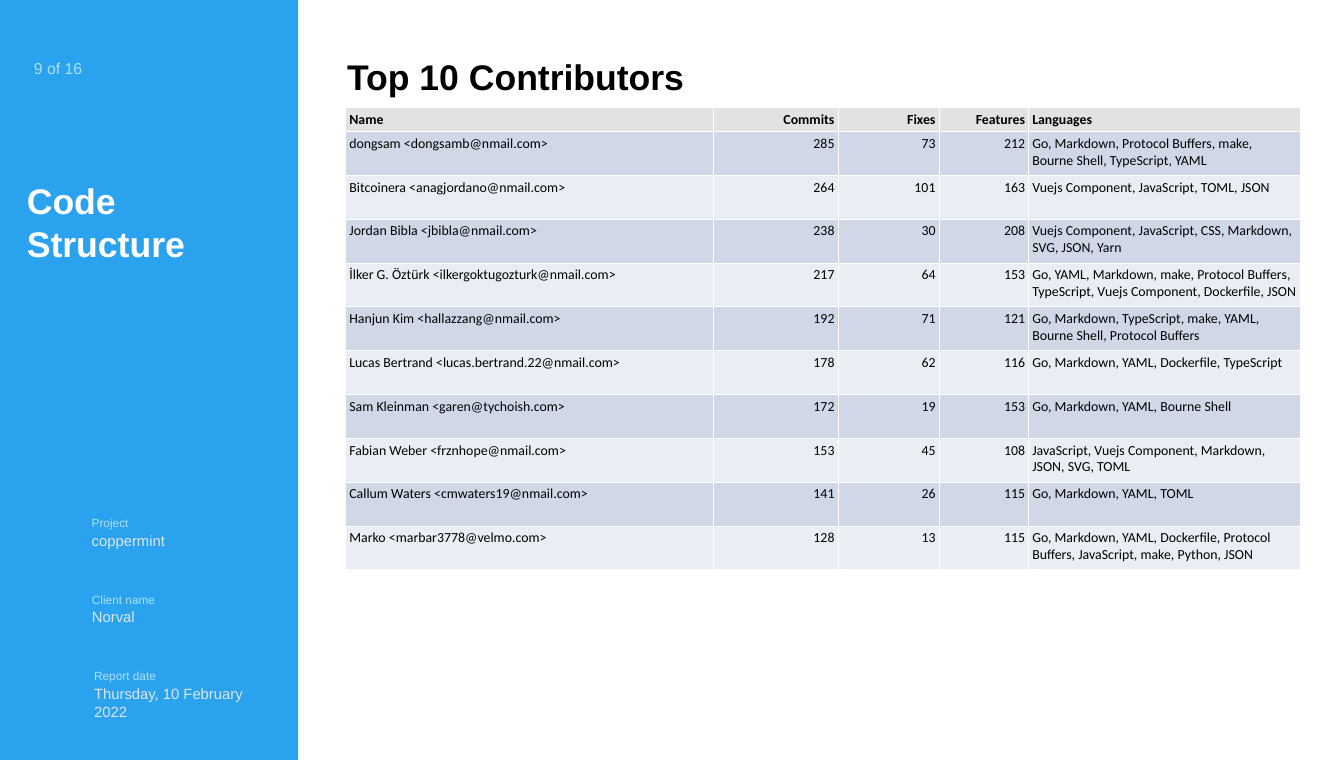
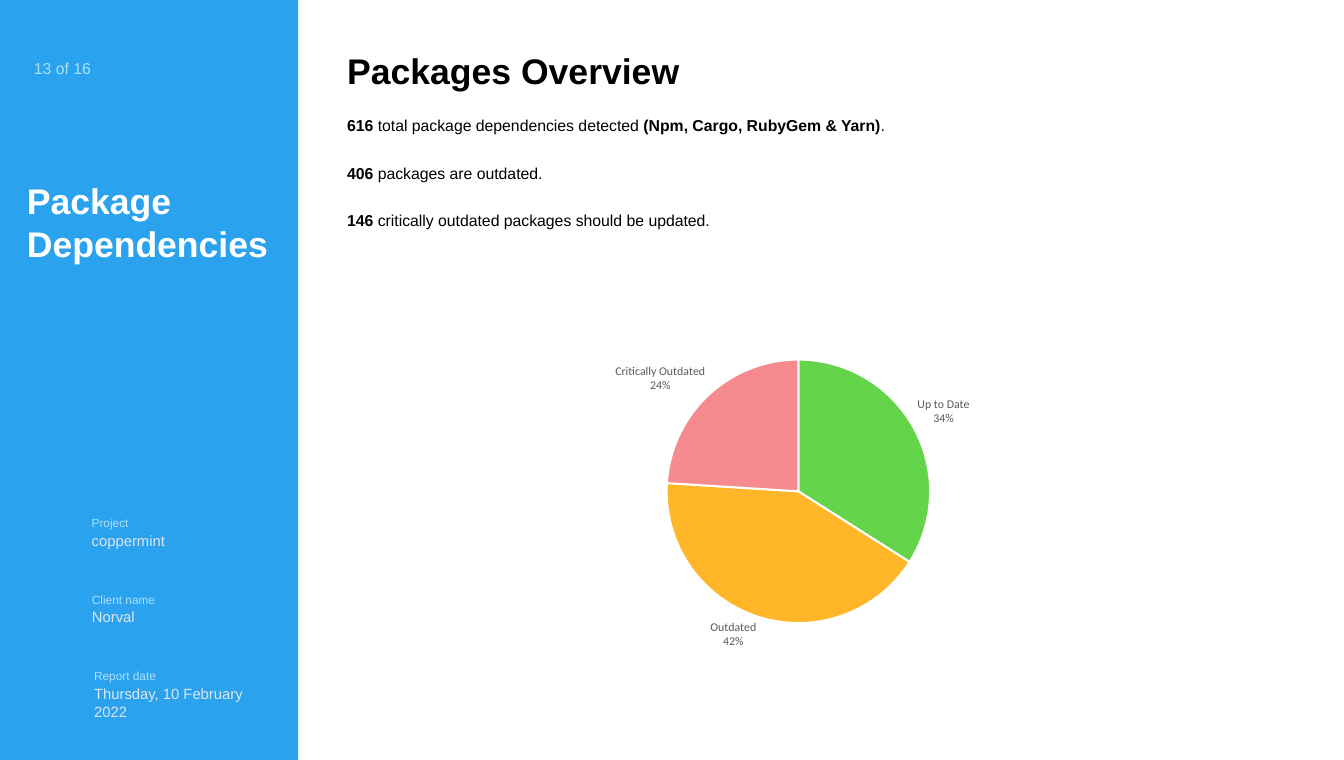
from collections.abc import Iterable
from dataclasses import dataclass, replace
from typing import Any, NamedTuple

from pptx import Presentation
from pptx.chart.data import CategoryChartData as ChartData
from pptx.dml.color import RGBColor as RGB
from pptx.enum.chart import XL_CHART_TYPE as ChartType, XL_LABEL_POSITION as LabelPos
from pptx.enum.shapes import MSO_SHAPE as Shape
from pptx.enum.text import MSO_ANCHOR as Anchor, MSO_AUTO_SIZE as AutoSize, PP_ALIGN as Align
from pptx.oxml import parse_xml
from pptx.oxml.ns import nsdecls
from pptx.slide import Slide
from pptx.text.text import TextFrame
from pptx.util import Inches, Pt

WIDTH, HEIGHT = Inches(18.89), Inches(10.68)


# Theme
@dataclass(frozen=True)
class Style:
    size: int
    color: str
    bold: bool = False
    font: str = "Arial"


@dataclass(frozen=True)
class Theme:
    band: str = "2AA2EE"
    white: str = "FFFFFF"
    header_fill: str = "E2E2E2"
    row_fills: tuple[str, str] = ("D0D8E8", "E9EDF4")
    page: Style = Style(16, "ADE1FF")
    section: Style = Style(36, "FFFFFF", True)
    title: Style = Style(36, "000000", True)
    body: Style = Style(16, "000000")
    label: Style = Style(12, "ADE1FF")
    value: Style = Style(15, "DCE6F2")
    cell: Style = Style(14, "000000", font="Calibri")
    chart: Style = Style(12, "595959", font="Calibri")


THEME = Theme()


# Geometry, in percent of the slide's width and height
def across(share: float) -> int:
    return round(WIDTH * share / 100)


def down(share: float) -> int:
    return round(HEIGHT * share / 100)


class Area(NamedTuple):
    left: float
    top: float
    width: float
    height: float

    def emu(self) -> tuple[int, int, int, int]:
        return across(self.left), down(self.top), across(self.width), down(self.height)


BAND = Area(-0.32, 0, 22.5, 100)
PAGE = Area(2.01, 7.21, 10.43, 3.46)
SECTION = Area(1.48, 23.13, 20.28, 12.27)
TITLE = Area(25.3, 3.93, 57.33, 8.43)
FINDINGS = Area(25.3, 14.14, 60.46, 16.39)
TABLE = Area(25.73, 14.14, 71.04, 60.86)
HEADER_HEIGHT = 3.18
PIE = Area(42.03, 39.89, 34.41, 49.53)
FIELD_TOP, FIELD_PITCH, VALUE_DROP = 67.42, 10.06, 2.06


# Content types
class Span(NamedTuple):
    text: str
    bold: bool = False


class Field(NamedTuple):
    label: str
    value: str
    left: float


class Column(NamedTuple):
    name: str
    width: float
    align: Align = Align.LEFT


class Contributor(NamedTuple):
    name: str
    commits: int
    fixes: int
    features: int
    languages: str


class Slice(NamedTuple):
    name: str
    percent: int
    color: str
    opacity: int = 100


class Page(NamedTuple):
    number: int
    section: tuple[str, ...]
    title: str
    title_top: float


# Content
PAGES = 16
FIELDS = (
    Field("Project", "coppermint", 6.3),
    Field("Client name", "Norval", 6.32),
    Field("Report date", "Thursday, 10 February 2022", 6.48),
)
CONTRIBUTORS_PAGE = Page(9, ("Code", "Structure"), "Top 10 Contributors", 3.93)
PACKAGES_PAGE = Page(13, ("Package", "Dependencies"), "Packages Overview", 3.18)
COLUMNS = (
    Column("Name", 5.17),
    Column("Commits", 1.75, Align.RIGHT),
    Column("Fixes", 1.42, Align.RIGHT),
    Column("Features", 1.26, Align.RIGHT),
    Column("Languages", 3.82),
)
CONTRIBUTORS = (
    Contributor("dongsam <dongsamb@nmail.com>", 285, 73, 212,
                "Go, Markdown, Protocol Buffers, make, Bourne Shell, TypeScript, YAML"),
    Contributor("Bitcoinera <anagjordano@nmail.com>", 264, 101, 163,
                "Vuejs Component, JavaScript, TOML, JSON"),
    Contributor("Jordan Bibla <jbibla@nmail.com>", 238, 30, 208,
                "Vuejs Component, JavaScript, CSS, Markdown, SVG, JSON, Yarn"),
    Contributor("İlker G. Öztürk <ilkergoktugozturk@nmail.com>", 217, 64, 153,
                "Go, YAML, Markdown, make, Protocol Buffers, TypeScript, "
                "Vuejs Component, Dockerfile, JSON"),
    Contributor("Hanjun Kim <hallazzang@nmail.com>", 192, 71, 121,
                "Go, Markdown, TypeScript, make, YAML, Bourne Shell, Protocol Buffers"),
    Contributor("Lucas Bertrand <lucas.bertrand.22@nmail.com>", 178, 62, 116,
                "Go, Markdown, YAML, Dockerfile, TypeScript"),
    Contributor("Sam Kleinman <garen@tychoish.com>", 172, 19, 153,
                "Go, Markdown, YAML, Bourne Shell"),
    Contributor("Fabian Weber <frznhope@nmail.com>", 153, 45, 108,
                "JavaScript, Vuejs Component, Markdown, JSON, SVG, TOML"),
    Contributor("Callum Waters <cmwaters19@nmail.com>", 141, 26, 115,
                "Go, Markdown, YAML, TOML"),
    Contributor("Marko <marbar3778@velmo.com>", 128, 13, 115,
                "Go, Markdown, YAML, Dockerfile, Protocol Buffers, JavaScript, "
                "make, Python, JSON"),
)
PACKAGE_FINDINGS = (
    (Span("616", True), Span(" total package dependencies detected"),
     Span(" (Npm, Cargo, RubyGem & Yarn)", True), Span(".")),
    (Span("406", True), Span(" packages are outdated.")),
    (Span("146", True), Span(" critically outdated packages should be updated.")),
)
SLICES = (
    Slice("Up to Date", 34, "64D44A"),
    Slice("Outdated", 42, "FFAA00", 84),
    Slice("Critically Outdated", 24, "F46368", 74),
)
PLOT_LAYOUT = {"x": 0.22, "y": 0.15, "w": 0.57, "h": 0.7}


# Drawing helpers
def assign(target: Any, values: dict[str, Any]) -> None:
    for name, value in values.items():
        setattr(target, name, value)


def set_font(font: Any, style: Style) -> None:
    assign(font, {"size": Pt(style.size), "name": style.font, "bold": style.bold})
    font.color.rgb = RGB.from_string(style.color)


def write(tf: TextFrame, lines: Iterable[Iterable[Span]], style: Style, **para: Any) -> None:
    for i, spans in enumerate(lines):
        p = tf.add_paragraph() if i else tf.paragraphs[0]
        assign(p, {"alignment": Align.LEFT, "space_before": Pt(0), **para})
        for span in spans:
            r = p.add_run()
            r.text = span.text
            set_font(r.font, replace(style, bold=style.bold or span.bold))


def prepare(tf: TextFrame) -> None:
    assign(tf, {"word_wrap": True, "auto_size": AutoSize.NONE, "vertical_anchor": Anchor.TOP})


def place(sp: Any, area: Area) -> None:
    assign(sp, dict(zip(("left", "top", "width", "height"), area.emu())))
    prepare(sp.text_frame)


def add_text(s: Slide, area: Area, lines: Iterable[str], style: Style) -> None:
    tf = s.shapes.add_textbox(*area.emu()).text_frame
    prepare(tf)
    write(tf, ([Span(line)] for line in lines), style)


# Shared frame: band, page number, section, project fields, title
def add_page(prs: Any, layout: int, page: Page) -> Slide:
    s = prs.slides.add_slide(prs.slide_layouts[layout])
    band = s.shapes.add_shape(Shape.RECTANGLE, *BAND.emu())
    band.shadow.inherit = False
    band.fill.solid()
    band.fill.fore_color.rgb = RGB.from_string(THEME.band)
    band.line.fill.background()
    for i, field in enumerate(FIELDS):
        top = FIELD_TOP + i * FIELD_PITCH
        add_text(s, Area(field.left, top, 10.43, 2.81), [field.label], THEME.label)
        add_text(s, Area(field.left, top + VALUE_DROP, 13.23, 3.28), [field.value], THEME.value)
    add_text(s, PAGE, [f"{page.number} of {PAGES}"], THEME.page)
    add_text(s, SECTION, page.section, THEME.section)
    title = s.shapes.title
    place(title, TITLE._replace(top=page.title_top))
    write(title.text_frame, [[Span(page.title)]], THEME.title, line_spacing=1.5)
    return s


# Table
def fill_cell(cell: Any, text: str, align: Align, fill: str, style: Style) -> None:
    sides = ("left", "right", "top", "bottom")
    assign(cell, {f"margin_{side}": Inches(0.05) for side in sides})
    write(cell.text_frame, [[Span(text)]], style, alignment=align)
    cell.fill.solid()
    cell.fill.fore_color.rgb = RGB.from_string(fill)
    tc_pr = cell._tc.get_or_add_tcPr()
    for i, side in enumerate("LRTB"):
        tc_pr.insert(i, parse_xml(
            f'<a:ln{side} {nsdecls("a")} w="{Pt(1)}"><a:solidFill>'
            f'<a:srgbClr val="{THEME.white}"/></a:solidFill></a:ln{side}>'))


def add_contributors(s: Slide) -> None:
    table = s.shapes.add_table(len(CONTRIBUTORS) + 1, len(COLUMNS), *TABLE.emu()).table
    total = sum(column.width for column in COLUMNS)
    for col, column in zip(table.columns, COLUMNS):
        col.width = across(TABLE.width * column.width / total)
    row_height = (TABLE.height - HEADER_HEIGHT) / len(CONTRIBUTORS)
    header = tuple(column.name for column in COLUMNS)
    for i, values in enumerate((header, *CONTRIBUTORS)):
        table.rows[i].height = down(row_height if i else HEADER_HEIGHT)
        fill = THEME.row_fills[(i - 1) % 2] if i else THEME.header_fill
        style = replace(THEME.cell, bold=i == 0)
        for j, (value, column) in enumerate(zip(values, COLUMNS)):
            fill_cell(table.cell(i, j), str(value), column.align, fill, style)


# Findings list
def add_findings(s: Slide) -> None:
    body = s.placeholders[1]
    place(body, FINDINGS)
    write(body.text_frame, PACKAGE_FINDINGS, THEME.body,
          line_spacing=Pt(24), space_after=Pt(24))
    for p in body.text_frame.paragraphs:
        p_pr = p._p.get_or_add_pPr()
        p_pr.set("marL", "0")
        p_pr.set("indent", "0")
        p_pr.append(parse_xml(f'<a:buNone {nsdecls("a")}/>'))


# Pie chart
def add_pie(s: Slide) -> None:
    data = ChartData()
    data.categories = [part.name for part in SLICES]
    data.add_series("Series 1", [part.percent for part in SLICES])
    chart = s.shapes.add_chart(ChartType.PIE, *PIE.emu(), data).chart
    assign(chart, {"has_legend": False, "has_title": False})
    set_font(chart.font, THEME.chart)
    plot = chart.plots[0]
    plot.vary_by_categories = True
    series = plot.series[0]
    for i, part in enumerate(SLICES):
        fmt = series.points[i].format
        fmt.fill.solid()
        fmt.fill.fore_color.rgb = RGB.from_string(part.color)
        fmt.line.color.rgb = RGB.from_string(THEME.white)
        fmt.line.width = Pt(2)
    colors = series._element.xpath("c:dPt/c:spPr/a:solidFill/a:srgbClr")
    for color, part in zip(colors, SLICES):
        color.append(parse_xml(f'<a:alpha {nsdecls("a")} val="{part.opacity * 1000}"/>'))
    labels = series.data_labels
    assign(labels, {"show_value": False, "show_category_name": True, "show_percentage": True,
                    "number_format": "0%", "number_format_is_linked": False,
                    "position": LabelPos.OUTSIDE_END})
    set_font(labels.font, THEME.chart)
    labels._element.xpath("c:showBubbleSize")[0].addnext(
        parse_xml(f'<c:separator {nsdecls("c")}>\n</c:separator>'))
    edges = "".join(f'<c:{k}Mode val="edge"/>' for k in "xy")
    sizes = "".join(f'<c:{k} val="{v}"/>' for k, v in PLOT_LAYOUT.items())
    area = chart._chartSpace.xpath("c:chart/c:plotArea")[0]
    for old in area.xpath("c:layout"):
        area.remove(old)
    area.insert(0, parse_xml(
        f'<c:layout {nsdecls("c")}><c:manualLayout><c:layoutTarget val="inner"/>'
        f"{edges}{sizes}</c:manualLayout></c:layout>"))


# Slides
prs = Presentation()
assign(prs, {"slide_width": WIDTH, "slide_height": HEIGHT})
add_contributors(add_page(prs, 5, CONTRIBUTORS_PAGE))
packages = add_page(prs, 1, PACKAGES_PAGE)
add_findings(packages)
add_pie(packages)
prs.save("out.pptx")
